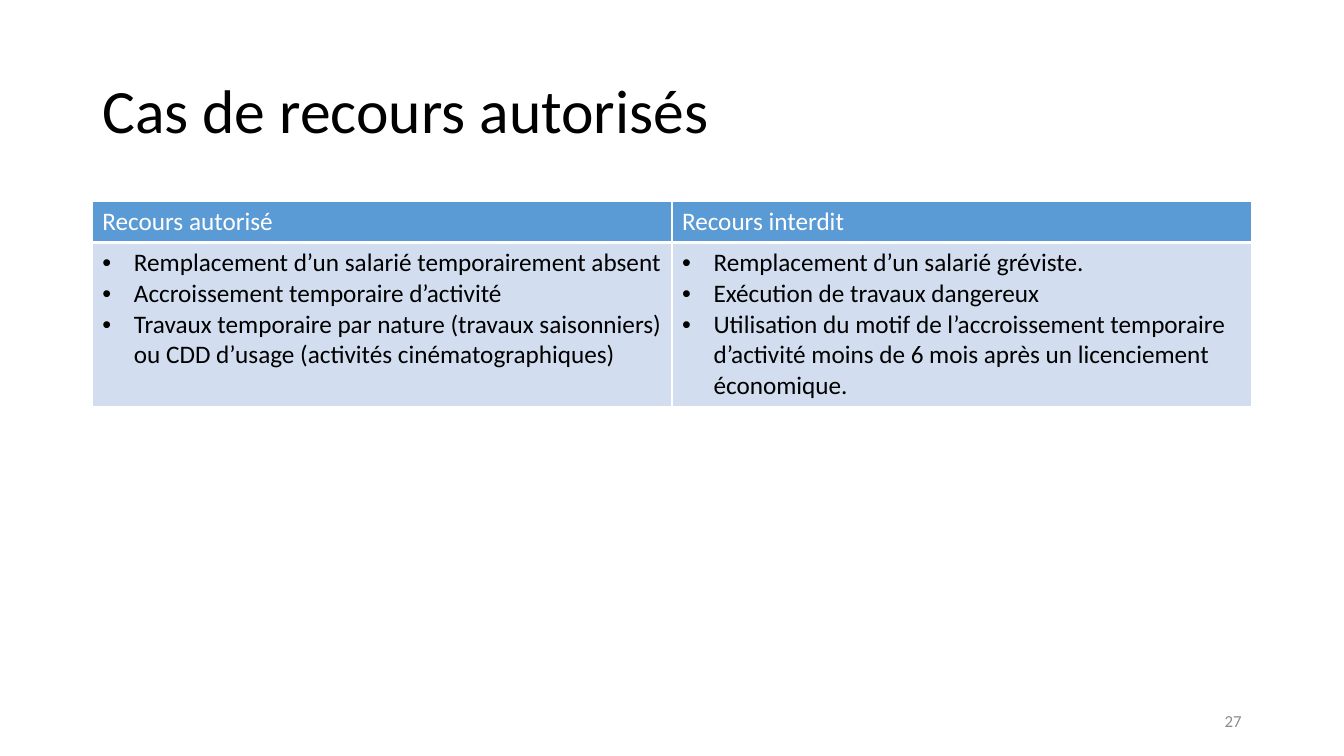
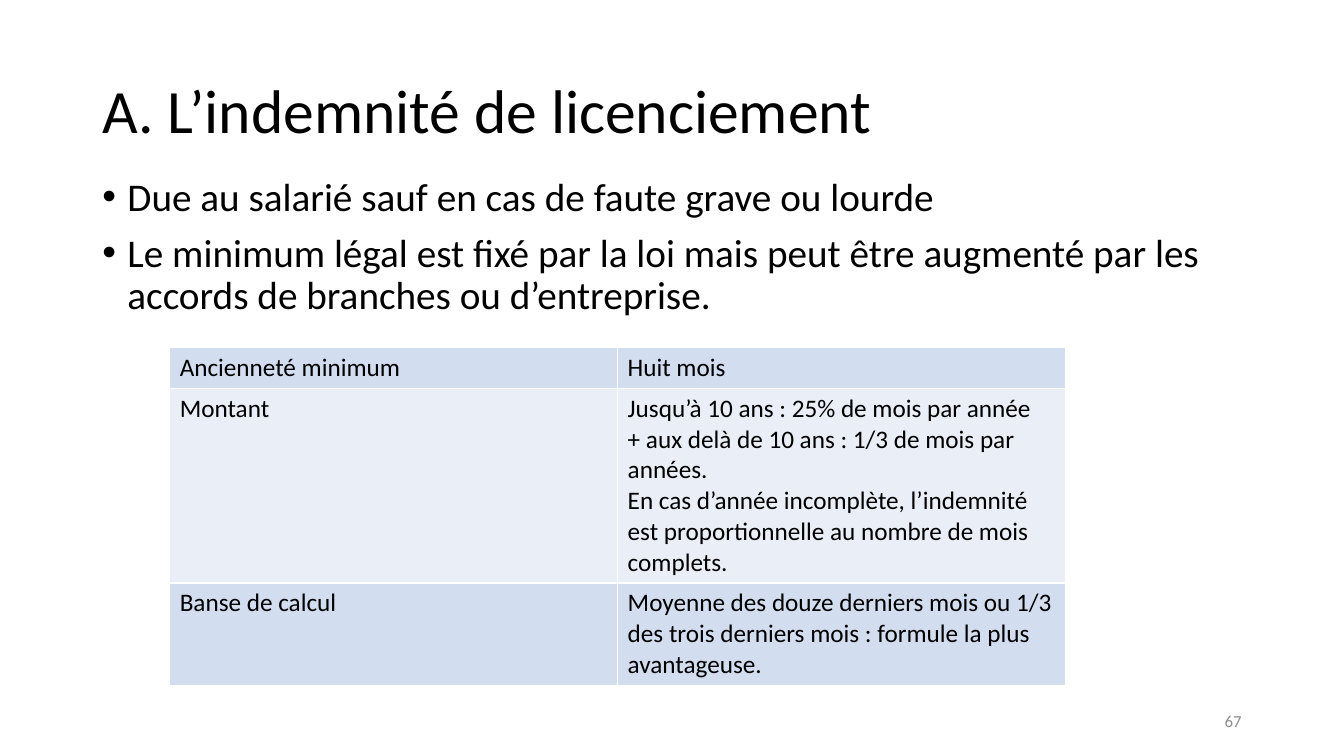
import pptx
import pptx.dml.color
import pptx.enum.text
import pptx.oxml.ns
import pptx.util
import lxml.etree
from dataclasses import dataclass

Pt = pptx.util.Pt
ALIGN = pptx.enum.text.PP_ALIGN
ANCHOR = pptx.enum.text.MSO_ANCHOR

# Content
SLIDES = [
    {
        "title": "Cas de recours autorisés",
        "points": [],
        "number": "27",
        "table": {
            "place": (66, 144, 828),
            "heights": (29.2, 117),
            "header": True,
            "bulleted": True,
            "rows": [
                (["Recours autorisé"], ["Recours interdit"]),
                (
                    [
                        "Remplacement d’un salarié temporairement absent",
                        "Accroissement temporaire d’activité",
                        "Travaux temporaire par nature (travaux saisonniers) ou CDD "
                        "d’usage (activités cinématographiques)",
                    ],
                    [
                        "Remplacement d’un salarié gréviste.",
                        "Exécution de travaux dangereux",
                        "Utilisation du motif de l’accroissement temporaire d’activité "
                        "moins de 6 mois après un licenciement économique.",
                    ],
                ),
            ],
        },
    },
    {
        "title": "A. L’indemnité de licenciement",
        "points": [
            "Due au salarié sauf en cas de faute grave ou lourde",
            "Le minimum légal est fixé par la loi mais peut être augmenté par les "
            "accords de branches ou d’entreprise.",
        ],
        "number": "67",
        "table": {
            "place": (121.2, 248.2, 640),
            "heights": (29.2, 139, 73.1),
            "header": False,
            "bulleted": False,
            "rows": [
                (["Ancienneté minimum"], ["Huit mois"]),
                (
                    ["Montant"],
                    [
                        "Jusqu’à 10 ans : 25% de mois par année",
                        "+ aux delà de 10 ans : 1/3 de mois par années.",
                        "En cas d’année incomplète, l’indemnité est proportionnelle "
                        "au nombre de mois complets.",
                    ],
                ),
                (
                    ["Banse de calcul"],
                    [
                        "Moyenne des douze derniers mois ou 1/3 des trois derniers "
                        "mois : formule la plus avantageuse."
                    ],
                ),
            ],
        },
    },
]


@dataclass(frozen=True)
class Theme:
    """Colours, font and type sizes shared by the slides."""
    font: str = "Calibri"
    ink: str = "000000"
    paper: str = "FFFFFF"
    muted: str = "8C8C8C"
    header: str = "5B9BD5"
    bands: tuple = ("D2DEEF", "EAEFF7")
    title_size: float = 44
    body_size: float = 28
    table_size: float = 18
    number_size: float = 12
    rule: float = 1
    header_rule: float = 3


THEME = Theme()
TITLE_BOX = (66, 28.8, 828, 104.4)
POINTS_BOX = (66, 123, 828, 363.6)
NUMBER_BOX = (678, 500.5, 216, 28.8)
POINT_INDENT, CELL_INDENT = 18, 22.5


def rgb(code):
    """Turn a hex code into a colour."""
    return pptx.dml.color.RGBColor.from_string(code)


def assign(target, values):
    """Set each attribute named in a dict of format values."""
    for name, value in values.items():
        setattr(target, name, value)


def add_node(parent, tag, **attributes):
    """Append an XML element and return it."""
    node = lxml.etree.SubElement(parent, pptx.oxml.ns.qn(tag))
    for name, value in attributes.items():
        node.set(name, str(value))
    return node


def write(frame, lines, size, color, indent=0, **layout):
    """Fill a text frame, one paragraph a line, bulleted if indented."""
    for index, line in enumerate(lines):
        paragraph = frame.add_paragraph() if index else frame.paragraphs[0]
        assign(paragraph, layout)
        run = paragraph.add_run()
        run.text = line
        assign(run.font, {"name": THEME.font, "size": Pt(size)})
        run.font.color.rgb = rgb(color)
        if indent:
            properties = paragraph._p.get_or_add_pPr()
            properties.set("marL", str(Pt(indent)))
            properties.set("indent", str(-Pt(indent)))
            add_node(properties, "a:buFont", typeface="Arial")
            add_node(properties, "a:buChar", char="•")


def add_text(slide, box, lines, size, color, anchor=ANCHOR.MIDDLE, **layout):
    """Add a wrapping text box."""
    frame = slide.shapes.add_textbox(*map(Pt, box)).text_frame
    assign(frame, {"word_wrap": True, "vertical_anchor": anchor})
    write(frame, lines, size, color, **layout)


def add_borders(cell, bottom):
    """Draw the light rules around a cell."""
    properties = cell._tc.get_or_add_tcPr()
    for side in "LRTB":
        width = bottom if side == "B" else THEME.rule
        line = add_node(properties, f"a:ln{side}", w=Pt(width))
        add_node(add_node(line, "a:solidFill"), "a:srgbClr", val=THEME.paper)


def add_grid(slide, place, heights, header, bulleted, rows):
    """Add a table of equal columns with banded rows."""
    left, top, width = place
    columns = len(rows[0])
    frame = slide.shapes.add_table(
        len(rows), columns, *map(Pt, (left, top, width, sum(heights))))
    table = frame.table
    assign(table, {"first_row": header, "horz_banding": False})
    for column in table.columns:
        column.width = Pt(width / columns)
    for r, (height, texts) in enumerate(zip(heights, rows)):
        table.rows[r].height = Pt(height)
        heading = header and r == 0
        fill = THEME.header if heading else THEME.bands[(r - header) % 2]
        for c, lines in enumerate(texts):
            cell = table.cell(r, c)
            add_borders(cell, THEME.header_rule if heading else THEME.rule)
            cell.fill.solid()
            cell.fill.fore_color.rgb = rgb(fill)
            write(cell.text_frame, lines, THEME.table_size,
                  THEME.paper if heading else THEME.ink,
                  indent=CELL_INDENT if bulleted and not heading else 0)


def build_slide(deck, content):
    """Add one slide: title, points, table and page number."""
    slide = deck.slides.add_slide(deck.slide_layouts[6])
    add_text(slide, TITLE_BOX, [content["title"]], THEME.title_size, THEME.ink,
             line_spacing=0.9)
    if content["points"]:
        add_text(slide, POINTS_BOX, content["points"], THEME.body_size, THEME.ink,
                 anchor=ANCHOR.TOP, indent=POINT_INDENT, line_spacing=0.9,
                 space_before=Pt(10))
    add_grid(slide, **content["table"])
    add_text(slide, NUMBER_BOX, [content["number"]], THEME.number_size, THEME.muted,
             alignment=ALIGN.RIGHT)


def main():
    """Build and save the deck."""
    deck = pptx.Presentation()
    assign(deck, {"slide_width": Pt(960), "slide_height": Pt(540)})
    for content in SLIDES:
        build_slide(deck, content)
    deck.save("out.pptx")


main()
